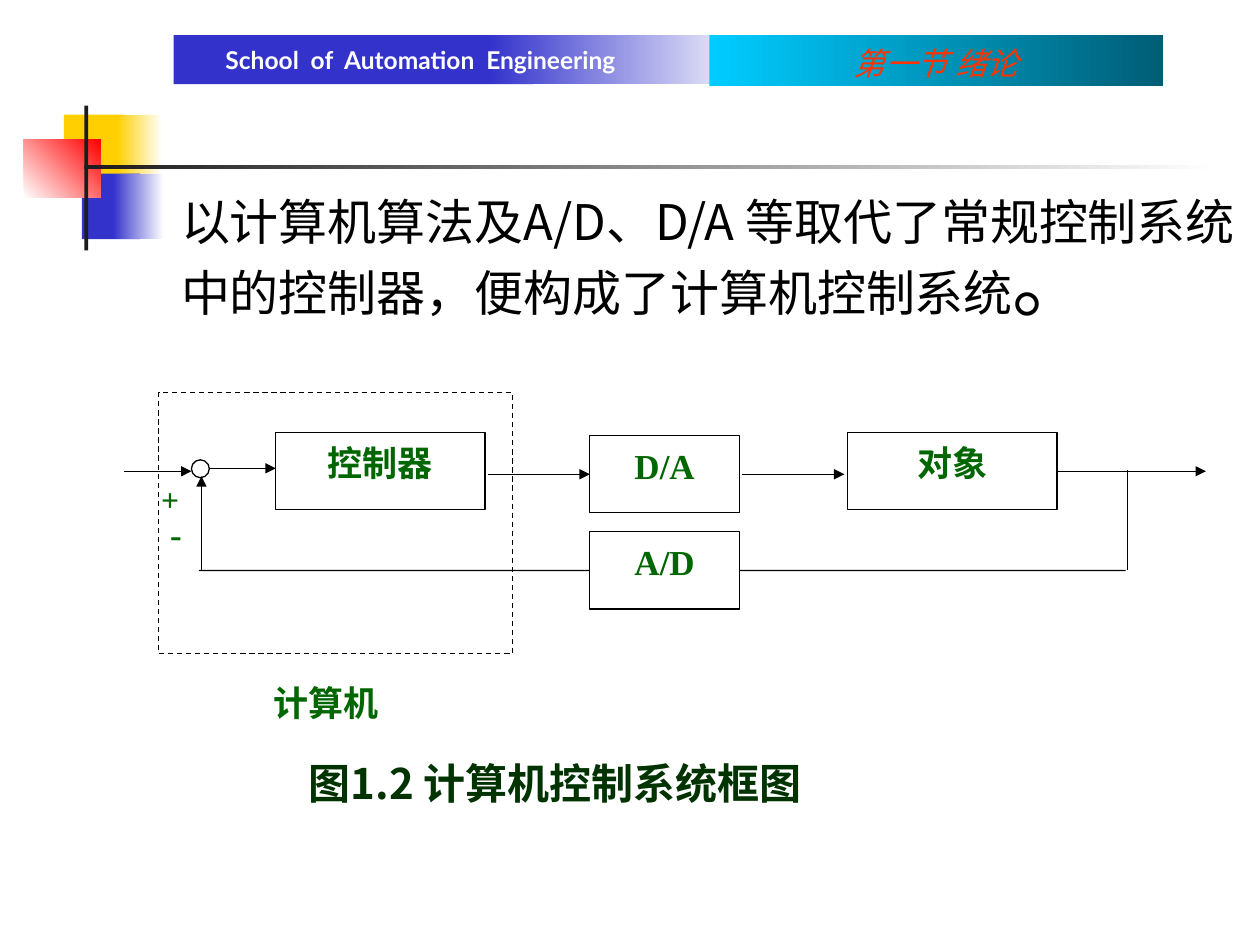
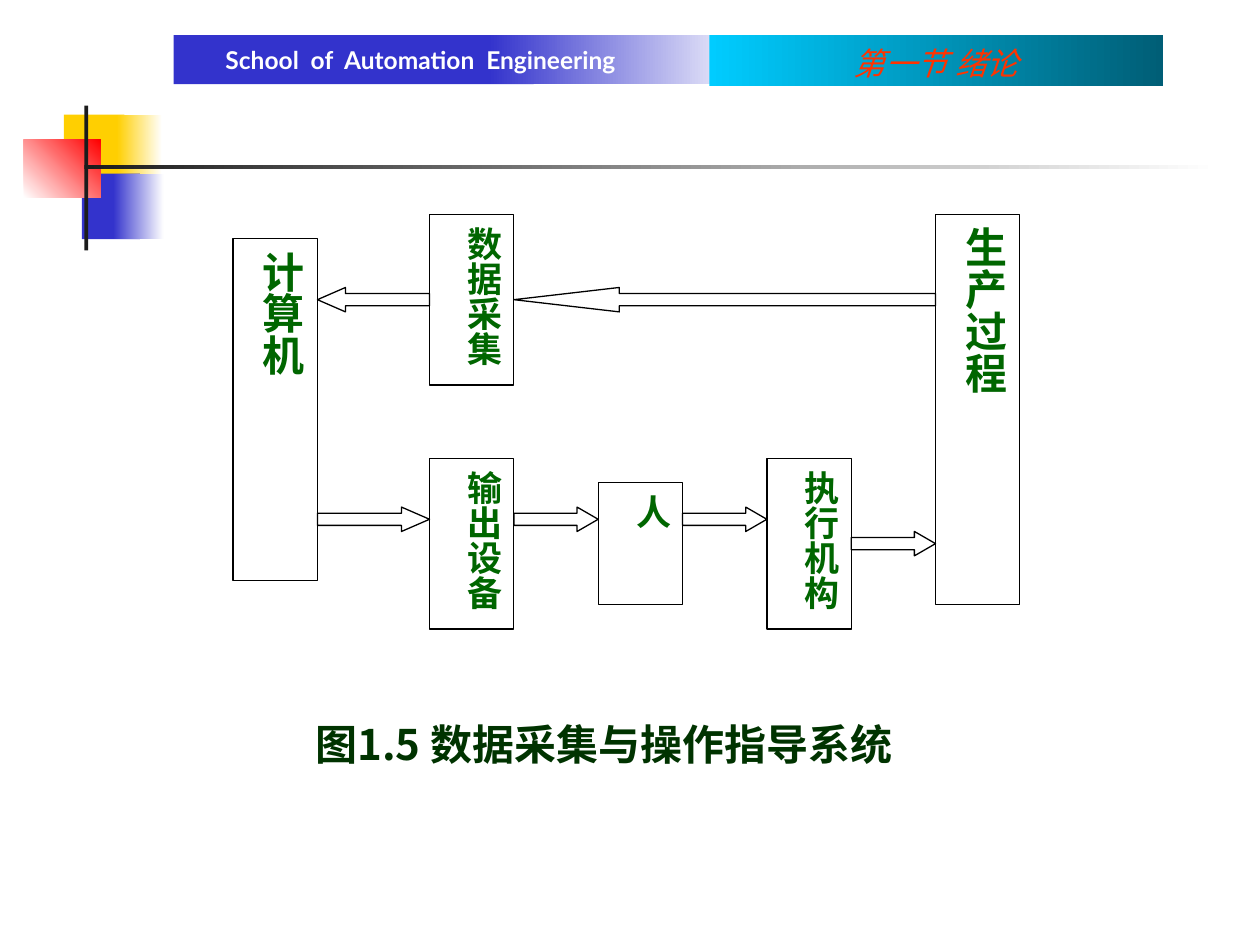
from dataclasses import dataclass

from lxml.etree import SubElement
from pptx import Presentation
from pptx.dml.color import RGBColor
from pptx.enum.dml import MSO_LINE
from pptx.enum.shapes import MSO_CONNECTOR, MSO_SHAPE as SHAPE
from pptx.enum.text import MSO_ANCHOR, PP_ALIGN as ALIGN
from pptx.oxml.ns import qn
from pptx.util import Cm, Pt

WHITE = RGBColor(0xFF, 0xFF, 0xFF)
BLACK = RGBColor(0, 0, 0)
CHARCOAL = RGBColor(0x1C, 0x1C, 0x1C)
YELLOW = RGBColor(0xFF, 0xCF, 0x01)
BLUE = RGBColor(0x33, 0x33, 0xCC)
RED = RGBColor(0xFF, 0, 0)
CYAN = RGBColor(0, 0xCC, 0xFF)
TEAL = RGBColor(0, 0x5E, 0x76)
ORANGE = RGBColor(0xFF, 0x33, 0)
GREEN = RGBColor(0, 0x66, 0)
DARK_GREEN = RGBColor(0, 0x33, 0)

SANS = "Noto Sans CJK SC"
SERIF = "Times New Roman"
LATO = "Lato"

LEFT, RIGHT = 1, 3  # connection sites of a rectangle
LABEL_LEADING = 1.28  # line pitch of a label, in font sizes
TIGHT = 0.83  # line spacing of running text and captions


@dataclass
class Box:
    """A region in centimetres."""
    x: float
    y: float
    w: float
    h: float

    def area(self, x, y, w, h):
        """A region placed relative to this one."""
        return Box(self.x + x, self.y + y, w, h)

    def point(self, x, y):
        return Cm(self.x + x), Cm(self.y + y)

    def lengths(self):
        return Cm(self.x), Cm(self.y), Cm(self.w), Cm(self.h)


def style_run(run, size, color, font=SERIF, bold=True, italic=False):
    run.font.size = Pt(size)
    run.font.name = font
    run.font.bold = bold
    run.font.italic = italic
    run.font.color.rgb = color
    SubElement(run.font._element, qn("a:ea")).set("typeface", SANS)


def write(shape, text, size, color, align=ALIGN.LEFT, spacing=None,
          insets=(0.25, 0.13), **style):
    frame = shape.text_frame
    frame.word_wrap = True
    frame.vertical_anchor = MSO_ANCHOR.TOP
    frame.margin_left = frame.margin_right = Cm(insets[0])
    frame.margin_top = frame.margin_bottom = Cm(insets[1])
    frame.text = text
    paragraph = frame.paragraphs[0]
    paragraph.alignment = align
    paragraph.line_spacing = spacing
    style_run(paragraph.runs[0], size, color, **style)
    return frame


def add_text(slide, box, *args, **style):
    return write(slide.shapes.add_textbox(*box.lengths()), *args, **style)


def add_band(slide, box, color, end_color=None, angle=0):
    """Borderless rectangle, plain or fading from color to end_color."""
    band = slide.shapes.add_shape(SHAPE.RECTANGLE, *box.lengths())
    band.shadow.inherit = False
    band.line.fill.background()
    if end_color is None:
        band.fill.solid()
        band.fill.fore_color.rgb = color
    else:
        band.fill.gradient()
        band.fill.gradient_angle = angle
        for stop, stop_color in zip(band.fill.gradient_stops, (color, end_color)):
            stop.color.rgb = stop_color
    return band


def add_outline(slide, box, kind=SHAPE.RECTANGLE):
    outline = slide.shapes.add_shape(kind, *box.lengths())
    outline.shadow.inherit = False
    outline.fill.background()
    outline.line.color.rgb = BLACK
    outline.line.width = Pt(0.75)
    return outline


def add_block(slide, box, label, size=20, align=ALIGN.CENTER, vertical=False):
    block = add_outline(slide, box)
    write(block, label, size, GREEN, align, Pt(size * LABEL_LEADING),
          insets=(0.13, 0.25) if vertical else (0.25, 0.13))
    if vertical:
        block.element.txBody.bodyPr.set("vert", "eaVert")
    return block


def add_signal(slide, start, end, arrow=True, source=None, target=None):
    """Line from start to end; source and target are (block, site) joints."""
    signal = slide.shapes.add_connector(MSO_CONNECTOR.STRAIGHT, *start, *end)
    signal.line.color.rgb = BLACK
    signal.line.width = Pt(0.75)
    properties = signal.element.spPr
    if arrow:
        SubElement(properties.find(qn("a:ln")), qn("a:tailEnd")).set("type", "triangle")
    SubElement(properties, qn("a:effectLst"))
    if source:
        signal.begin_connect(*source)
    if target:
        signal.end_connect(*target)


def add_corner_ornament(slide, box):
    add_band(slide, box.area(0.81, 0.18, 1.22, 1.32), YELLOW)
    add_band(slide, box.area(1.88, 0.18, 0.91, 1.32), YELLOW, WHITE)
    add_band(slide, box.area(1.17, 1.37, 1.17, 1.32), BLUE)
    add_band(slide, box.area(1.8, 1.37, 1.02, 1.32), BLUE, WHITE)
    add_band(slide, box.area(0, 0.69, 1.55, 1.17), WHITE, RED, angle=45)
    add_band(slide, box.area(1.22, 0, 0.08, box.h), CHARCOAL)
    add_band(slide, box.area(1.22, 1.19, box.w - 1.22, 0.08), CHARCOAL, WHITE)


def add_header(slide, box):
    add_band(slide, box.area(0, 0, 7.26, 0.99), BLUE)
    add_band(slide, box.area(6.35, 0, 5.44, 0.99), BLUE, WHITE)
    school = add_text(slide, box.area(-1.22, 0.2, 12.4, 0.58),
                      "School  of  Automation  Engineering", 14, WHITE,
                      ALIGN.CENTER, insets=(0, 0), font=LATO)
    school.vertical_anchor = MSO_ANCHOR.MIDDLE
    section = add_band(slide, box.area(10.8, 0, 9.14, box.h), CYAN, TEAL)
    write(section, "第一节 绪论", 18, ORANGE, ALIGN.CENTER,
          Pt(18 * LABEL_LEADING), bold=False, italic=True)


def add_caption(slide, box, text):
    add_text(slide, box, text, 24, DARK_GREEN, ALIGN.CENTER, TIGHT,
             insets=(0.35, 0.13), font=SANS)


def add_statement(slide, box):
    frame = add_text(slide, box,
                     "以计算机算法及A/D、D/A 等取代了常规控制系统中的控制器，便构成了计算机控制系统",
                     28, BLACK, spacing=TIGHT, font=SANS, bold=False)
    full_stop = frame.paragraphs[0].add_run()
    full_stop.text = "。"
    style_run(full_stop, 44, BLACK, font=SANS, bold=False)


def add_control_loop(slide, box):
    """Feedback loop, with the computer's share in a dashed frame."""
    at = box.point
    computer = add_outline(slide, box.area(0.71, 0, 7.14, 5.26))
    computer.line.dash_style = MSO_LINE.DASH
    add_block(slide, box.area(3.07, 0.8, 4.22, 1.56), "控制器")
    plant = add_block(slide, box.area(14.6, 0.8, 4.22, 1.56), "对象")
    to_analog = add_block(slide, box.area(9.4, 0.86, 3.02, 1.56), "D/A")
    to_digital = add_block(slide, box.area(9.4, 2.8, 3.02, 1.56), "A/D")
    add_outline(slide, box.area(1.37, 1.35, 0.36, 0.36), SHAPE.OVAL)

    add_signal(slide, at(0, 1.58), at(1.37, 1.58))
    add_signal(slide, at(1.73, 1.52), at(3.07, 1.52))
    add_signal(slide, at(7.34, 1.64), at(9.4, 1.64), target=(to_analog, LEFT))
    add_signal(slide, at(12.47, 1.64), at(14.53, 1.64))
    add_signal(slide, at(18.82, 1.58), at(box.w, 1.58), source=(plant, RIGHT))
    add_signal(slide, at(20.24, 1.55), at(20.24, 3.58), arrow=False)
    add_signal(slide, at(20.2, 3.58), at(12.42, 3.58), arrow=False,
               target=(to_digital, RIGHT))
    add_signal(slide, at(9.4, 3.58), at(1.52, 3.58), arrow=False,
               source=(to_digital, LEFT))
    add_signal(slide, at(1.57, 3.58), at(1.57, 1.68))

    add_text(slide, box.area(2.77, 5.64, 3.61, 1.5), "计算机", 20, GREEN,
             ALIGN.JUSTIFY, Pt(20 * LABEL_LEADING))
    for sign, size, x, y in (("+", 18, 0.76, 1.75), ("-", 20, 0.94, 2.41)):
        add_text(slide, box.area(x, y, 0.41, 0.89), sign, size, GREEN,
                 ALIGN.JUSTIFY, insets=(0, 0))


def add_guidance_flow(slide, box):
    """Blocks in columns 1.7 wide, on rows of one sixteenth of the height."""
    width = 1.7
    row = box.h / 16
    computer, devices, person, actuator, process = (
        0, *(3.96 + 2 * width * i for i in range(4)))

    for label, x, top, rows, size, align in (
            ("计算机", computer, 1, 14, 24, ALIGN.CENTER),
            ("数据采集", devices, 0, 7, 20, ALIGN.JUSTIFY),
            ("输出设备", devices, 10, 7, 20, ALIGN.JUSTIFY),
            ("人", person, 11, 5, 20, ALIGN.CENTER),
            ("执行机构", actuator, 10, 7, 20, ALIGN.JUSTIFY),
            ("生产过程", process, 0, 16, 24, ALIGN.CENTER)):
        add_block(slide, box.area(x, top * row, width, rows * row),
                  label, size, align, vertical=True)

    for kind, before, after, top in (
            (SHAPE.LEFT_ARROW, computer, devices, 3),
            (SHAPE.RIGHT_ARROW, computer, devices, 12),
            (SHAPE.RIGHT_ARROW, devices, person, 12),
            (SHAPE.RIGHT_ARROW, person, actuator, 12),
            (SHAPE.RIGHT_ARROW, actuator, process, 13),
            (SHAPE.LEFT_ARROW, devices, process, 3)):
        length = after - before - width
        arrow = add_outline(slide, box.area(before + width, top * row, length, row), kind)
        arrow.adjustments[1] = length / 4 / row  # the head takes a quarter


def add_base_slide(deck):
    slide = deck.slides.add_slide(deck.slide_layouts[6])
    add_corner_ornament(slide, Box(0.48, 2.13, 24.08, 2.92))
    add_header(slide, Box(3.5, 0.71, 19.94, 1.02))
    return slide


def main():
    deck = Presentation()
    deck.slide_width, deck.slide_height = Cm(25.4), Cm(19.05)

    loop_slide = add_base_slide(deck)
    add_caption(loop_slide, Box(5.79, 15.32, 10.8, 1.27), "图1.2 计算机控制系统框图")
    add_statement(loop_slide, Box(3.4, 3.94, 22, 3.3))
    add_control_loop(loop_slide, Box(2.49, 7.92, 21.82, 7.14))

    flow_slide = add_base_slide(deck)
    add_guidance_flow(flow_slide, Box(4.7, 4.32, 15.86, 7.87))
    add_caption(flow_slide, Box(5.92, 14.53, 12.5, 1.27), "图1.5 数据采集与操作指导系统")

    deck.save("out.pptx")


if __name__ == "__main__":
    main()
